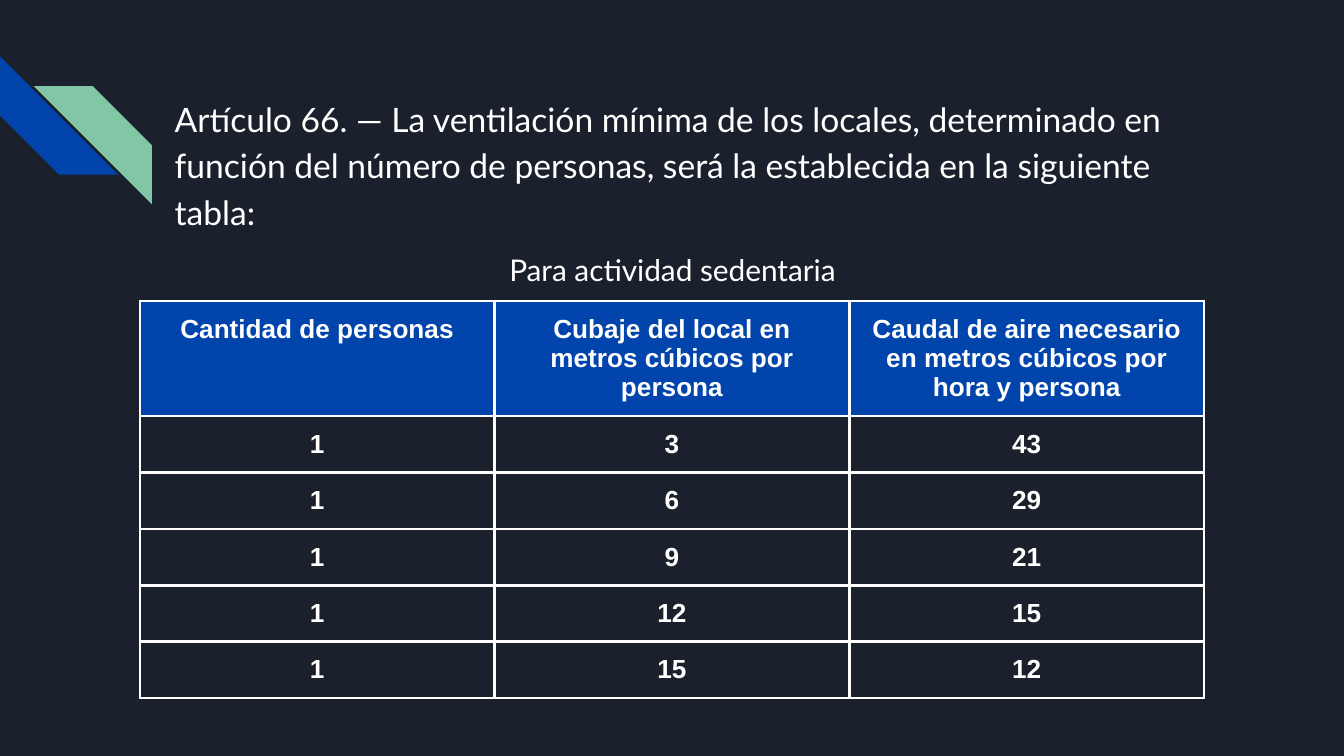
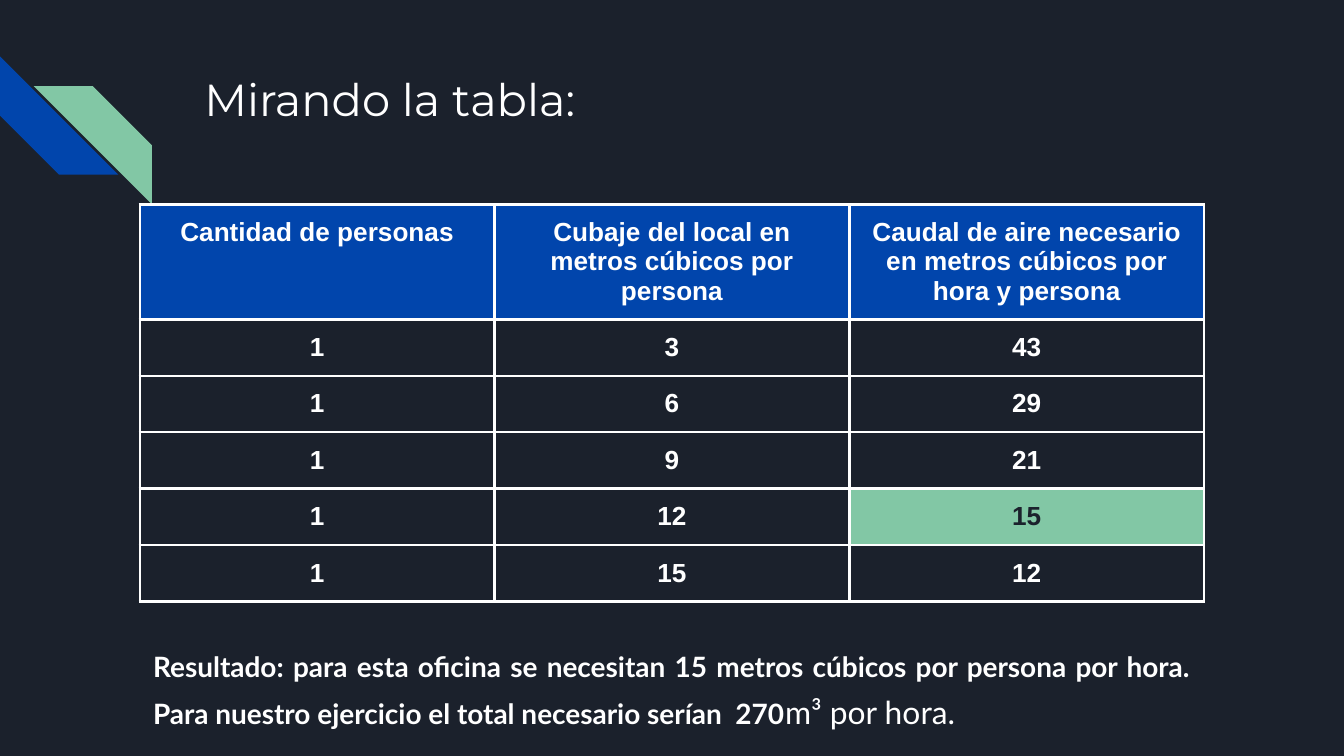
"""Build two slides on the minimum ventilation of workplaces."""
from lxml.etree import SubElement
from pptx import Presentation
from pptx.dml.color import RGBColor
from pptx.enum.shapes import MSO_SHAPE
from pptx.enum.text import MSO_ANCHOR, MSO_AUTO_SIZE, PP_ALIGN
from pptx.oxml.ns import qn
from pptx.util import Inches, Pt

NIGHT, BLUE, GREEN, WHITE = "1B212C", "0145AC", "82C7A5", "FFFFFF"
SLIDE_WIDTH = Inches(10)
SLIDE_HEIGHT = SLIDE_WIDTH * 9 // 16
INSET = 0.1
TABLE_LEFT, COLUMN_WIDTH, ROW_HEIGHT, TABLE_HEIGHT = 1.04, 2.64, 0.42, 3.07
STRIPE_SIZE = 0.88

ARTICLE = ("Artículo 66. — La ventilación mínima de los locales, determinado en función "
           "del número de personas, será la establecida en la siguiente tabla:")
CAPTION = "Para actividad sedentaria"
TITLE = "Mirando la tabla:"
RESULT = ("Resultado: para esta oficina se necesitan 15 metros cúbicos por persona por hora. "
          "Para nuestro ejercicio el total necesario serían  270")
RESULT_UNIT = "m³ por hora."
ROWS = [
    ("Cantidad de personas", "Cubaje del local en metros cúbicos por persona",
     "Caudal de aire necesario en metros cúbicos por hora y persona"),
    ("1", "3", "43"),
    ("1", "6", "29"),
    ("1", "9", "21"),
    ("1", "12", "15"),
    ("1", "15", "12"),
]
ANSWER_CELL = (4, 2)


def color(value):
    """Turn a hex string into a colour."""
    return RGBColor.from_string(value)


def style(span, size, name="Lato", bold=False, tint=WHITE):
    """Format one run of text."""
    font = span.font
    font.size, font.name, font.bold = Pt(size), name, bold
    font.color.rgb = color(tint)


def prepare(box, place, grow=False):
    """Place a text shape, set its insets and return its first paragraph."""
    box.left, box.top, box.width, box.height = map(Inches, place)
    frame = box.text_frame
    frame.word_wrap = True
    frame.vertical_anchor = MSO_ANCHOR.TOP
    frame.auto_size = MSO_AUTO_SIZE.SHAPE_TO_FIT_TEXT if grow else MSO_AUTO_SIZE.NONE
    frame.margin_left = frame.margin_right = Inches(INSET)
    frame.margin_top = frame.margin_bottom = Inches(INSET)
    return frame.paragraphs[0]


def write(para, spans, align=PP_ALIGN.LEFT, line_spacing=1.0, space_after=0):
    """Fill a paragraph with (text, format) spans."""
    para.alignment = align
    para.line_spacing = line_spacing
    para.space_before, para.space_after = Pt(0), Pt(space_after)
    for text, look in spans:
        span = para.add_run()
        span.text = text
        style(span, **look)


def add_text(page, place, spans, **layout):
    """Add a text box that grows with its text."""
    box = page.shapes.add_textbox(*map(Inches, place))
    write(prepare(box, place, grow=True), spans, **layout)


def add_stripes(page):
    """Draw the two diagonal stripes at the left edge."""
    for left, top, fill, rotation, mirrored in (
            (0, 0.42, BLUE, 270, False), (0.25, 0.64, GREEN, 0, True)):
        stripe = page.shapes.add_shape(
            MSO_SHAPE.DIAGONAL_STRIPE, Inches(left), Inches(top),
            Inches(STRIPE_SIZE), Inches(STRIPE_SIZE))
        stripe.shadow.inherit = False
        stripe.fill.solid()
        stripe.fill.fore_color.rgb = color(fill)
        stripe.line.fill.background()
        stripe.rotation = rotation
        if mirrored:
            stripe._element.spPr.xfrm.set("flipH", "1")


def add_borders(cell):
    """Draw a white line on each side of a cell."""
    properties = cell._tc.get_or_add_tcPr()
    for index, side in enumerate(("a:lnL", "a:lnR", "a:lnT", "a:lnB")):
        line = SubElement(properties, qn(side), w=str(Pt(1.5)))
        properties.insert(index, line)
        fill = SubElement(line, qn("a:solidFill"))
        SubElement(fill, qn("a:srgbClr"), val=WHITE)


def add_airflow_table(page, top, highlight=None):
    """Add the table of air flow, with one cell highlighted if asked."""
    columns = len(ROWS[0])
    holder = page.shapes.add_table(
        len(ROWS), columns, Inches(TABLE_LEFT), Inches(top),
        Inches(COLUMN_WIDTH * columns), Inches(TABLE_HEIGHT))
    table = holder.table
    table.first_row = table.horz_banding = False
    for column in table.columns:
        column.width = Inches(COLUMN_WIDTH)
    for r, texts in enumerate(ROWS):
        table.rows[r].height = Inches(ROW_HEIGHT)
        for c, text in enumerate(texts):
            cell = table.cell(r, c)
            marked = (r, c) == highlight
            cell.margin_left = cell.margin_right = Inches(INSET)
            cell.margin_top = cell.margin_bottom = Inches(INSET)
            if marked or r == 0:
                cell.fill.solid()
                cell.fill.fore_color.rgb = color(GREEN if marked else BLUE)
            else:
                cell.fill.background()
            add_borders(cell)
            look = dict(size=14, name="Arial", bold=True, tint=NIGHT if marked else WHITE)
            write(cell.text_frame.paragraphs[0], [(text, look)], PP_ALIGN.CENTER)
    holder.height = Inches(TABLE_HEIGHT)


def add_article_page(deck):
    """Build the slide with the article and its table."""
    page = deck.slides.add_slide(deck.slide_layouts[1])
    title = page.shapes.title._element
    title.getparent().remove(title)
    add_stripes(page)
    para = prepare(page.placeholders[1], (1.2, 0.59, 7.7, 0.67))
    properties = para._p.get_or_add_pPr()
    properties.set("marL", "0")
    properties.set("indent", "0")
    SubElement(properties, qn("a:buNone"))
    write(para, [(ARTICLE, dict(size=18))], line_spacing=1.15, space_after=12)
    add_airflow_table(page, 2.24)
    add_text(page, (0.99, 1.77, 8.03, 0.47), [(CAPTION, dict(size=16))],
             align=PP_ALIGN.CENTER)


def add_result_page(deck):
    """Build the slide that reads the answer from the table."""
    page = deck.slides.add_slide(deck.slide_layouts[5])
    add_stripes(page)
    para = prepare(page.shapes.title, (1.42, 0.43, 7.7, 1))
    write(para, [(TITLE, dict(size=24, name="Montserrat"))])
    add_airflow_table(page, 1.52, ANSWER_CELL)
    add_text(page, (TABLE_LEFT, 4.67, 7.92, 0.8),
             [(RESULT, dict(size=15, bold=True)), (RESULT_UNIT, dict(size=17))],
             align=PP_ALIGN.JUSTIFY, line_spacing=1.25, space_after=23)


def main():
    """Build and save the deck."""
    deck = Presentation()
    deck.slide_width, deck.slide_height = SLIDE_WIDTH, SLIDE_HEIGHT
    backdrop = deck.slide_master.background.fill
    backdrop.solid()
    backdrop.fore_color.rgb = color(NIGHT)
    add_article_page(deck)
    add_result_page(deck)
    deck.save("out.pptx")


if __name__ == "__main__":
    main()
